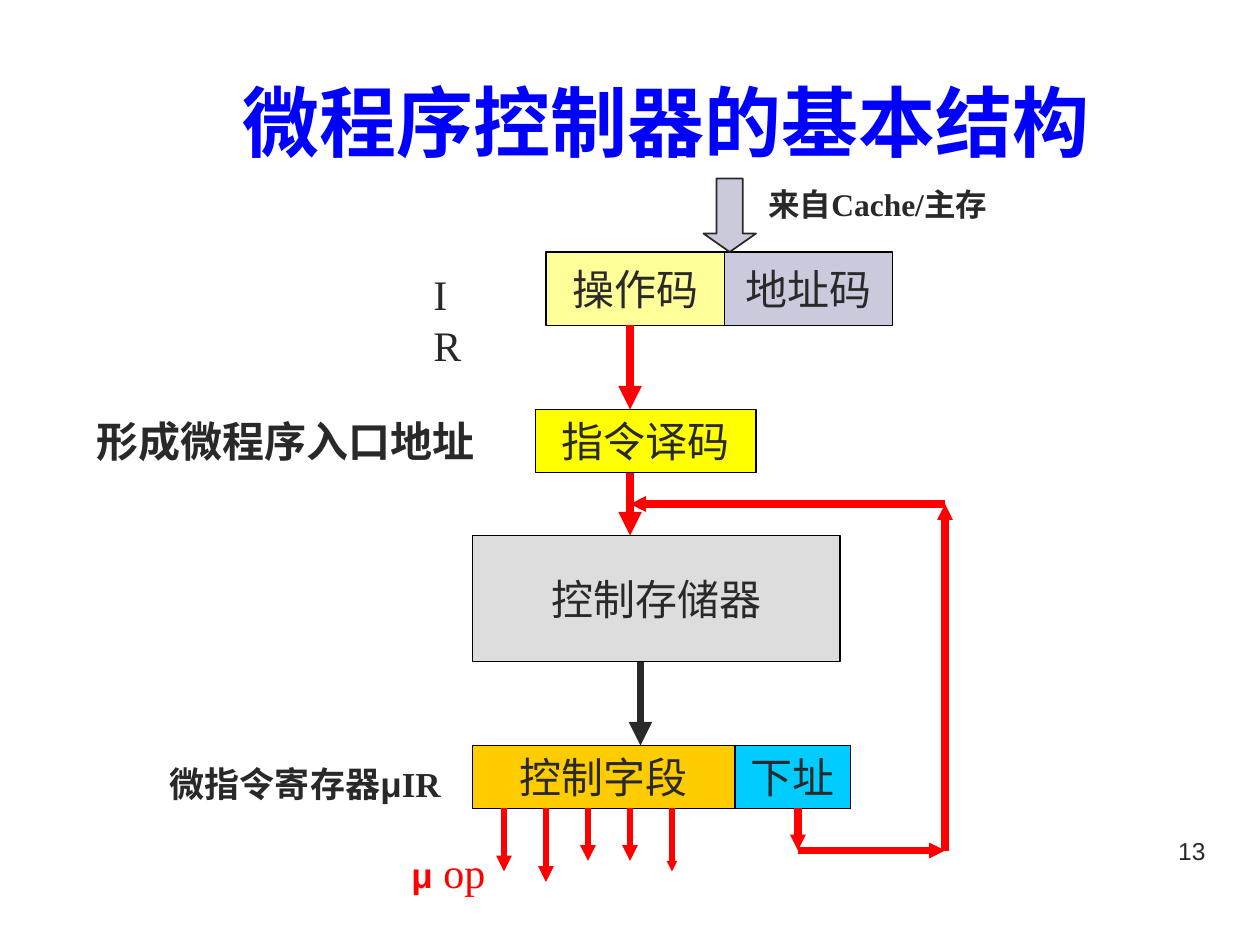
from dataclasses import dataclass

import pptx
import pptx.dml.color
import pptx.enum.shapes
import pptx.enum.text
import pptx.oxml
import pptx.oxml.ns
import pptx.util

PX = 7620  # EMU per px: 120 px to the inch
ALIGN = pptx.enum.text.PP_ALIGN
ANCHOR = pptx.enum.text.MSO_ANCHOR
AUTO_SIZE = pptx.enum.text.MSO_AUTO_SIZE
SHAPE = pptx.enum.shapes.MSO_SHAPE


@dataclass(frozen=True)
class Theme:
    serif: str = "Times New Roman"
    sans: str = "Arial"
    ink: str = "292929"
    black: str = "000000"
    blue: str = "0000FF"
    red: str = "FF0000"
    lilac: str = "CACADC"
    title: int = 44
    body: int = 24
    register: int = 20
    note: int = 18
    number: int = 14


THEME = Theme()


@dataclass(frozen=True)
class Run:
    text: str
    size: int = THEME.body
    bold: bool = False
    face: str = THEME.serif
    color: str = THEME.ink


@dataclass(frozen=True)
class Block:
    text: str
    left: int
    top: int
    width: int
    height: int
    fill: str


@dataclass(frozen=True)
class Label:
    runs: tuple[Run, ...]
    left: int
    top: int
    width: int
    height: int
    align: ALIGN = ALIGN.LEFT
    wrap: bool = True
    grow: bool = True


@dataclass(frozen=True)
class Arrow:
    start: tuple[int, int]
    end: tuple[int, int]
    color: str = THEME.red
    weight: float = 4.5
    head: str = "med"


def rgb(value: str) -> pptx.dml.color.RGBColor:
    return pptx.dml.color.RGBColor.from_string(value)


def emu(*lengths: int) -> list[int]:
    return [length * PX for length in lengths]


def style_font(font, run: Run) -> None:
    font.name = run.face
    font.size = pptx.util.Pt(run.size)
    font.bold = run.bold
    font.color.rgb = rgb(run.color)


def style_shape(shape, fill: str, line: str, weight: float) -> None:
    shape.shadow.inherit = False
    shape.fill.solid()
    shape.fill.fore_color.rgb = rgb(fill)
    shape.line.color.rgb = rgb(line)
    shape.line.width = pptx.util.Pt(weight)


def draw_block(slide, block: Block) -> None:
    shape = slide.shapes.add_shape(
        SHAPE.RECTANGLE, *emu(block.left, block.top, block.width, block.height))
    style_shape(shape, block.fill, THEME.black, 0.75)
    frame = shape.text_frame
    frame.word_wrap = False
    frame.vertical_anchor = ANCHOR.MIDDLE
    paragraph = frame.paragraphs[0]
    paragraph.text = block.text
    paragraph.alignment = ALIGN.CENTER
    style_font(paragraph.font, Run(block.text))


def draw_label(slide, label: Label) -> None:
    shape = slide.shapes.add_textbox(
        *emu(label.left, label.top, label.width, label.height))
    frame = shape.text_frame
    frame.word_wrap = label.wrap
    frame.auto_size = AUTO_SIZE.SHAPE_TO_FIT_TEXT if label.grow else AUTO_SIZE.NONE
    paragraph = frame.paragraphs[0]
    paragraph.alignment = label.align
    if len(label.runs) == 1:
        paragraph.text = label.runs[0].text
        style_font(paragraph.font, label.runs[0])
        return
    for part in label.runs:
        run = paragraph.add_run()
        run.text = part.text
        style_font(run.font, part)


def draw_arrow(slide, arrow: Arrow) -> None:
    connector = slide.shapes.add_connector(
        pptx.enum.shapes.MSO_CONNECTOR.STRAIGHT, *emu(*arrow.start, *arrow.end))
    connector.line.color.rgb = rgb(arrow.color)
    connector.line.width = pptx.util.Pt(arrow.weight)
    head = pptx.oxml.parse_xml(
        f'<a:tailEnd {pptx.oxml.ns.nsdecls("a")} type="triangle" '
        f'w="{arrow.head}" len="{arrow.head}"/>')
    connector.line._get_or_add_ln().append(head)
    effects = pptx.oxml.parse_xml(f'<a:effectLst {pptx.oxml.ns.nsdecls("a")}/>')
    connector._element.spPr.append(effects)


BLOCKS = [
    Block("操作码", 520, 240, 170, 70, "FFFF99"),
    Block("地址码", 690, 240, 160, 70, THEME.lilac),
    Block("指令译码", 510, 390, 210, 60, "FFFF00"),
    Block("控制存储器", 450, 510, 350, 120, "DDDDDD"),
    Block("控制字段", 450, 710, 250, 60, "FFCC00"),
    Block("下址", 700, 710, 110, 60, "00CCFF"),
]

LABELS = [
    Label((Run("来自Cache/主存", THEME.note, True),), 720, 170, 250, 48),
    Label((Run("IR"),), 401, 250, 63, 60, wrap=False),
    Label((Run("形成微程序入口地址", bold=True),), 80, 390, 410, 60),
    Label((Run("微指令寄存器", THEME.register, True),
           Run("μ", THEME.register, True, THEME.sans),
           Run("IR", THEME.register, True)), 150, 720, 310, 53),
    Label((Run("μ", THEME.register, True, THEME.sans, THEME.red),
           Run(" op", color=THEME.red)), 380, 800, 110, 60),
    Label((Run("13", THEME.number, face=THEME.sans),),
          860, 790, 300, 62, ALIGN.RIGHT, grow=False),
]

# Main flow, then the next-address loop back to the control store
ARROWS = [
    Arrow((600, 310), (600, 390)),
    Arrow((600, 450), (600, 510)),
    Arrow((610, 630), (610, 710), THEME.ink),
]
LOOP = [(760, 770), (760, 810), (900, 810), (900, 480), (600, 480)]
ARROWS += [Arrow(start, end, head="sm") for start, end in zip(LOOP, LOOP[1:])]

# Micro-operation outputs, evenly spaced under the control field
OUTPUTS = [(830, "med"), (840, "med"), (820, "med"), (820, "med"), (830, "sm")]
ARROWS += [Arrow((480 + 40 * index, 770), (480 + 40 * index, bottom), weight=3, head=head)
           for index, (bottom, head) in enumerate(OUTPUTS)]


def main() -> None:
    presentation = pptx.Presentation()
    presentation.slide_width, presentation.slide_height = emu(1200, 900)
    slide = presentation.slides.add_slide(presentation.slide_layouts[5])

    # Title
    title = slide.shapes.title
    title.left, title.top, title.width, title.height = emu(110, 40, 1050, 150)
    title.text_frame.vertical_anchor = ANCHOR.MIDDLE
    paragraph = title.text_frame.paragraphs[0]
    paragraph.text = "微程序控制器的基本结构"
    paragraph.alignment = ALIGN.CENTER
    style_font(paragraph.font,
               Run(paragraph.text, THEME.title, True, THEME.sans, THEME.blue))

    # Registers, decoder and control store
    for block in BLOCKS:
        draw_block(slide, block)

    # Instruction arriving from memory
    fetch = slide.shapes.add_shape(SHAPE.DOWN_ARROW, *emu(670, 170, 50, 70))
    fetch.adjustments[0], fetch.adjustments[1] = 0.5, 0.35
    style_shape(fetch, THEME.lilac, THEME.ink, 1)

    # Signal paths and captions
    for arrow in ARROWS:
        draw_arrow(slide, arrow)
    for label in LABELS:
        draw_label(slide, label)

    presentation.save("out.pptx")


if __name__ == "__main__":
    main()
